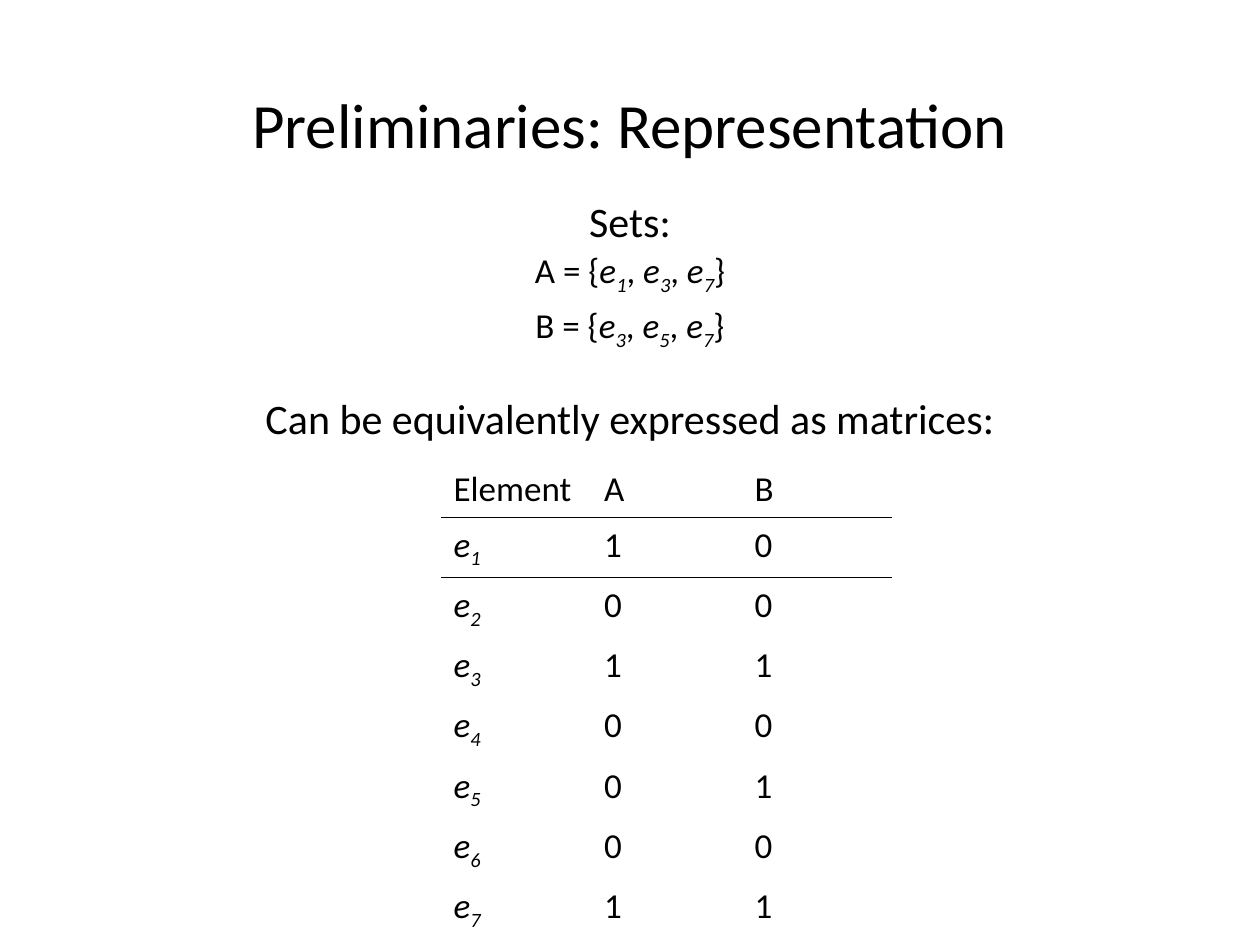
from pptx import Presentation
from pptx.dml.color import RGBColor
from pptx.enum.text import MSO_ANCHOR, PP_ALIGN
from pptx.oxml import parse_xml
from pptx.oxml.ns import nsdecls, qn
from pptx.util import Pt

BLACK = RGBColor(0, 0, 0)
FACE = "Calibri"
WIDE = 720
PLAIN = "{2D5ABB26-0587-4C30-8999-92F81FD0307C}"  # no style, no grid
SETS = {"A": (1, 3, 7), "B": (3, 5, 7)}


def style(par, size, align=None):
    par.font.size = Pt(size)
    par.font.name = FACE
    par.font.color.rgb = BLACK
    par.alignment = align


def add_run(par, text):
    run = par.add_run()
    run.text = text
    return run


def add_element(par, num):
    """Write e with an italic subscript number."""
    add_run(par, "e").font.italic = True
    sub = add_run(par, str(num))
    sub.font.italic = True
    sub.font._element.set("baseline", "-25000")


def add_title(slide, left, top, width, height):
    title = slide.shapes.title
    title.left, title.top = Pt(left), Pt(top)
    title.width, title.height = Pt(width), Pt(height)
    frame = title.text_frame
    frame.text = "Preliminaries: Representation"
    frame.vertical_anchor = MSO_ANCHOR.MIDDLE
    style(frame.paragraphs[0], 36, PP_ALIGN.CENTER)


def add_box(slide, left, top, width, height):
    box = slide.shapes.add_textbox(Pt(left), Pt(top), Pt(width), Pt(height))
    box.text_frame.word_wrap = True
    return box.text_frame


def add_label(slide, text, *area):
    par = add_box(slide, *area).paragraphs[0]
    par.text = text
    style(par, 24, PP_ALIGN.CENTER)


def add_sets(slide, *area):
    frame = add_box(slide, *area)
    for i, (name, nums) in enumerate(SETS.items()):
        par = frame.add_paragraph() if i else frame.paragraphs[0]
        style(par, 20, PP_ALIGN.CENTER)
        if i:
            par.space_before = Pt(4)
        add_run(par, name + " = {")
        for j, num in enumerate(nums):
            if j:
                add_run(par, ", ")
            add_element(par, num)
        add_run(par, "}")


def add_rule(cell):
    """Draw a thin line below a cell."""
    line = parse_xml(
        f'<a:lnB {nsdecls("a")} w="12700"><a:solidFill>'
        f'<a:srgbClr val="{BLACK}"/></a:solidFill></a:lnB>')
    cell._tc.get_or_add_tcPr().insert(0, line)


def add_matrix(slide, left, top, width, height, count=7):
    rows, cols = count + 1, len(SETS) + 1
    frame = slide.shapes.add_table(
        rows, cols, Pt(left), Pt(top), Pt(width), Pt(height))
    table = frame.table
    table.first_row = table.horz_banding = False
    table._tbl.tblPr.find(qn("a:tableStyleId")).text = PLAIN
    for row in range(rows):
        for col, name in enumerate(["Element", *SETS]):
            cell = table.cell(row, col)
            cell.fill.background()
            par = cell.text_frame.paragraphs[0]
            style(par, 20)
            if row == 0:
                add_run(par, name)
            elif col == 0:
                add_element(par, row)
            else:
                add_run(par, str(int(row in SETS[name])))
            if row < 2:
                add_rule(cell)


def main():
    deck = Presentation()
    deck.slide_width, deck.slide_height = Pt(WIDE), Pt(540)
    slide = deck.slides.add_slide(deck.slide_layouts[5])
    # Matrix of members
    add_matrix(slide, 252, 264, 258, 236)
    # Heading and captions
    add_title(slide, 0, 43.2, WIDE, 54)
    add_label(slide, "Sets:", 0, 108, WIDE, 36)
    add_label(slide, "Can be equivalently expressed as matrices:",
              0, 220.5, WIDE, 36)
    # Set notation
    add_sets(slide, 0, 138.5, WIDE, 60.5)
    deck.save("out.pptx")


if __name__ == "__main__":
    main()
